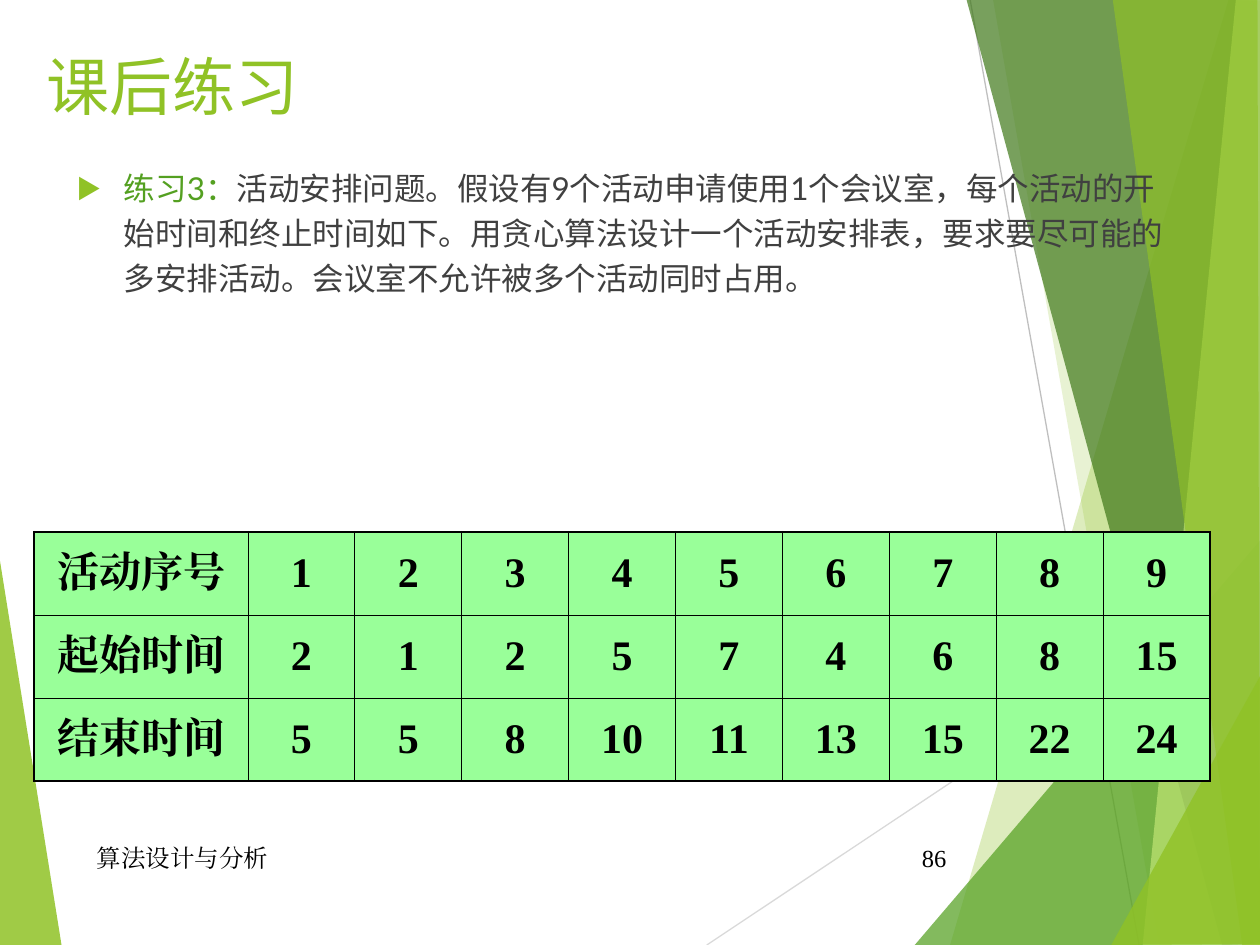
"""Build the activity-scheduling exercise slide with its timetable."""
from typing import NamedTuple

from lxml.etree import SubElement
from pptx import Presentation
from pptx.dml.color import RGBColor
from pptx.enum.shapes import MSO_CONNECTOR
from pptx.enum.text import MSO_ANCHOR, PP_ALIGN
from pptx.oxml.ns import qn
from pptx.util import Pt

LIME = RGBColor(0x90, 0xC2, 0x26)
GREEN = RGBColor(0x54, 0xA0, 0x21)
FOREST = RGBColor(0x3F, 0x78, 0x19)
PALE_LIME = RGBColor(0xC0, 0xE4, 0x74)
MINT = RGBColor(0x99, 0xFF, 0x99)
LIGHT_GRAY = RGBColor(0xD9, 0xD9, 0xD9)
MID_GRAY = RGBColor(0xBF, 0xBF, 0xBF)
CHARCOAL = RGBColor(0x40, 0x40, 0x40)
BLACK = RGBColor(0, 0, 0)

LATO = "Lato"
NOTO = "Noto Sans CJK SC"
TIMES = "Times New Roman"
THIN, THICK = 0.45, 1.08


class Facet(NamedTuple):
    points: list[tuple[float, float]]
    color: RGBColor
    opacity: int


class Ray(NamedTuple):
    start: tuple[float, float]
    end: tuple[float, float]
    color: RGBColor


class Piece(NamedTuple):
    text: str
    size: float
    color: RGBColor
    latin: str
    east_asian: str
    bold: bool = False


class Label(NamedTuple):
    left: float
    top: float
    width: float
    height: float
    pieces: list[Piece]
    anchor: MSO_ANCHOR = MSO_ANCHOR.MIDDLE
    align: PP_ALIGN = PP_ALIGN.LEFT


BACKDROP = [
    Facet([(-0.7, 316), (35.3, 540.7), (-0.7, 540)], LIME, 85),
    Ray((403.9, 540), (720.7, 329), LIGHT_GRAY),
    Ray((554.4, 0), (650.9, 540), MID_GRAY),
    Facet([(702, 0), (542.9, 540), (721.4, 540.7), (720.7, 0.7)], LIME, 30),
    Facet([(567.4, -0.7), (662.4, 540), (720.7, 540), (720.7, -0.7)], LIME, 20),
    Facet([(522.7, 540), (720, 308.9), (720.7, 540)], GREEN, 72),
    Facet([(552.2, -0.7), (698.4, 540), (720.7, 539.3), (720.7, -0.7)], FOREST, 70),
    Facet([(706.3, -0.7), (653, 540), (720.7, 540), (720, -0.7)], PALE_LIME, 70),
    Facet([(635.8, -0.7), (709.9, 540), (720, 540), (718.6, -0.7)], LIME, 65),
    Facet([(635, 540), (720.7, 385.2), (720.7, 539.3)], LIME, 80),
]

TITLE = Label(19.4, 20.2, 612, 56.9, [Piece("课后练习", 36, LIME, LATO, LATO)])
EXERCISE = Label(36.7, 88.6, 646.6, 215.3, [
    Piece("练习3：", 18, GREEN, LATO, LATO),
    Piece("活动安排问题。假设有", 18, CHARCOAL, NOTO, LATO),
    Piece("9", 18, CHARCOAL, LATO, LATO),
    Piece("个活动申请使用", 18, CHARCOAL, NOTO, LATO),
    Piece("1", 18, CHARCOAL, LATO, LATO),
    Piece("个会议室，每个活动的开始时间和终止时间如下。用贪心算法设计一个活动安排表，"
          "要求要尽可能的多安排活动。会议室不允许被多个活动同时占用。",
          18, CHARCOAL, NOTO, LATO),
], MSO_ANCHOR.TOP)
COURSE = Label(48.2, 475.9, 364.3, 28.8,
               [Piece("算法设计与分析", 14, BLACK, TIMES, TIMES)])
PAGE = Label(507.6, 475.9, 40.3, 28.8, [Piece("86", 14, BLACK, TIMES, TIMES)],
             align=PP_ALIGN.RIGHT)

TIMETABLE = [
    ("活动序号", 1, 2, 3, 4, 5, 6, 7, 8, 9),
    ("起始时间", 2, 1, 2, 5, 7, 4, 6, 8, 15),
    ("结束时间", 5, 5, 8, 10, 11, 13, 15, 22, 24),
]


def draw_facet(slide, facet: Facet) -> None:
    """Draw one translucent polygon."""
    start, *rest = [(Pt(x), Pt(y)) for x, y in facet.points]
    builder = slide.shapes.build_freeform(*start)
    builder.add_line_segments(rest, close=True)
    polygon = builder.convert_to_shape()
    polygon.shadow.inherit = False
    polygon.fill.solid()
    polygon.fill.fore_color.rgb = facet.color
    polygon.line.fill.background()
    color = polygon._element.spPr.find(qn("a:solidFill"))[0]
    SubElement(color, qn("a:alpha"), val=str(facet.opacity * 1000))


def draw_ray(slide, ray: Ray) -> None:
    """Draw one thin background line."""
    ends = [Pt(value) for value in ray.start + ray.end]
    line = slide.shapes.add_connector(MSO_CONNECTOR.STRAIGHT, *ends)
    line.line.color.rgb = ray.color
    line.line.width = Pt(0.75)
    SubElement(line._element.spPr, qn("a:effectLst"))


def write_piece(paragraph, piece: Piece) -> None:
    """Append one formatted run."""
    run = paragraph.add_run()
    run.text = piece.text
    run.font.size = Pt(piece.size)
    run.font.bold = piece.bold
    run.font.color.rgb = piece.color
    run.font.name = piece.latin
    SubElement(run._r.get_or_add_rPr(), qn("a:ea"), typeface=piece.east_asian)


def draw_label(slide, label: Label):
    """Draw one text box and return its paragraph."""
    box = slide.shapes.add_textbox(*[Pt(value) for value in label[:4]])
    frame = box.text_frame
    frame.word_wrap = True
    frame.vertical_anchor = label.anchor
    paragraph = frame.paragraphs[0]
    paragraph.alignment = label.align
    for piece in label.pieces:
        write_piece(paragraph, piece)
    return paragraph


def add_bullet(paragraph) -> None:
    """Give a paragraph a hanging lime triangle bullet."""
    properties = paragraph._p.get_or_add_pPr()
    properties.set("marL", str(Pt(27)))
    properties.set("indent", str(Pt(-27)))
    color = SubElement(properties, qn("a:buClr"))
    SubElement(color, qn("a:srgbClr"), val=str(LIME))
    SubElement(properties, qn("a:buSzPct"), val="80000")
    SubElement(properties, qn("a:buFont"), typeface=NOTO)
    SubElement(properties, qn("a:buChar"), char="▶")
    paragraph.line_spacing = 1.2


def add_border(cell, side: str, width: float) -> None:
    """Add one black border to a cell."""
    border = SubElement(cell._tc.get_or_add_tcPr(), qn(f"a:ln{side}"), w=str(Pt(width)))
    fill = SubElement(border, qn("a:solidFill"))
    SubElement(fill, qn("a:srgbClr"), val=str(BLACK))


def draw_timetable(slide) -> None:
    """Draw the activity table with a thicker outer frame."""
    row_count, column_count = len(TIMETABLE), len(TIMETABLE[0])
    table = slide.shapes.add_table(row_count, column_count, Pt(19.6), Pt(303.9),
                                   Pt(672), Pt(142.5)).table
    table.first_row = table.horz_banding = False
    for index, column in enumerate(table.columns):
        column.width = Pt(61.1 if index else 122.1)
    for r, values in enumerate(TIMETABLE):
        table.rows[r].height = Pt(47.5)
        for c, value in enumerate(values):
            cell = table.cell(r, c)
            outer = {"L": c == 0, "R": c == column_count - 1,
                     "T": r == 0, "B": r == row_count - 1}
            for side, is_outer in outer.items():
                add_border(cell, side, THICK if is_outer else THIN)
            cell.fill.solid()
            cell.fill.fore_color.rgb = MINT
            cell.vertical_anchor = MSO_ANCHOR.MIDDLE
            paragraph = cell.text_frame.paragraphs[0]
            paragraph.alignment = PP_ALIGN.CENTER
            write_piece(paragraph, Piece(str(value), 24, BLACK, TIMES, TIMES, True))


def main() -> None:
    """Assemble and save the slide."""
    deck = Presentation()
    deck.slide_width, deck.slide_height = Pt(720), Pt(540)
    slide = deck.slides.add_slide(deck.slide_layouts[6])
    for part in BACKDROP:
        if isinstance(part, Facet):
            draw_facet(slide, part)
        else:
            draw_ray(slide, part)
    draw_label(slide, TITLE)
    add_bullet(draw_label(slide, EXERCISE))
    draw_timetable(slide)
    draw_label(slide, COURSE)
    draw_label(slide, PAGE)
    deck.save("out.pptx")


if __name__ == "__main__":
    main()
